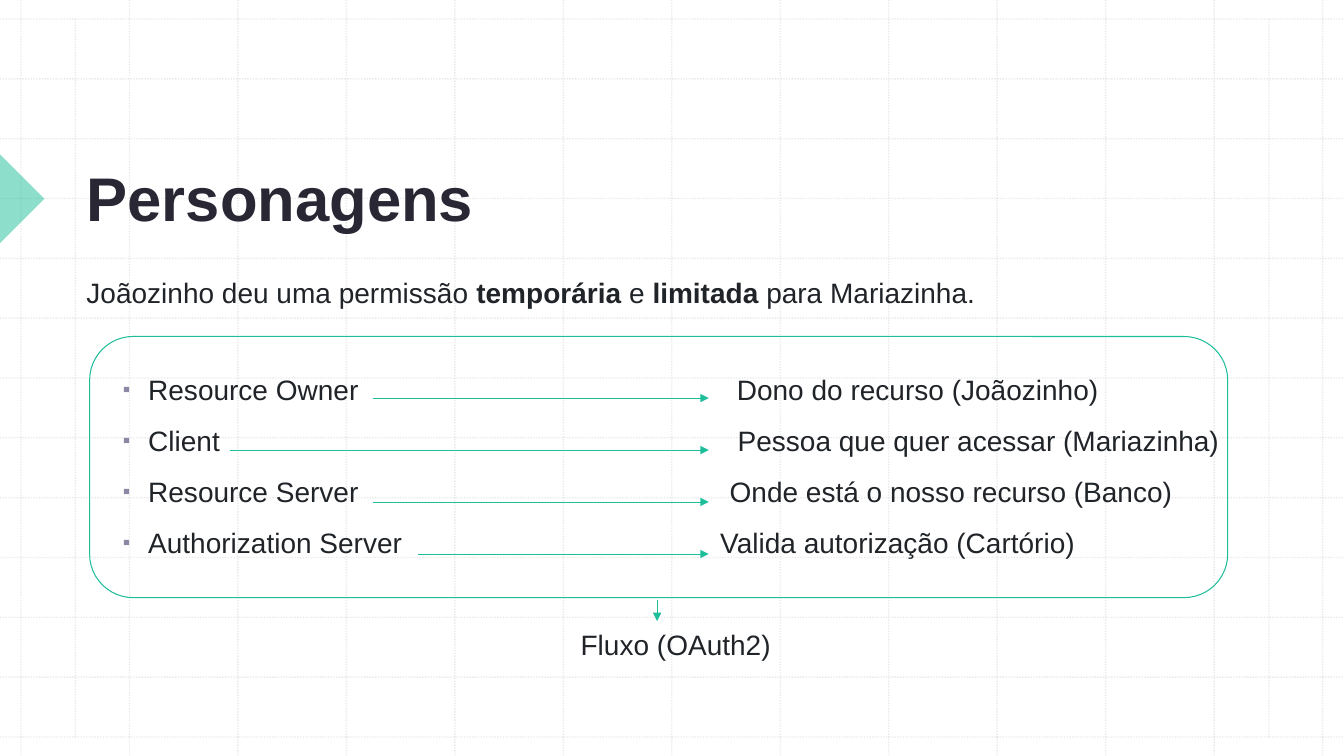
from dataclasses import dataclass

from pptx import Presentation
from pptx.dml.color import RGBColor
from pptx.enum.dml import MSO_LINE
from pptx.enum.shapes import MSO_CONNECTOR, MSO_SHAPE
from pptx.enum.text import MSO_ANCHOR as Anchor, MSO_AUTO_SIZE as AutoSize, PP_ALIGN as Align
from pptx.oxml.ns import qn
from pptx.util import Cm, Pt
from lxml.etree import SubElement

WIDTH, HEIGHT = 33.87, 19.05


@dataclass(frozen=True)
class Theme:
    font: str = "Arial"
    title: str = "2A2735"
    text: str = "202428"
    accent: str = "1EBE9B"
    bullet: str = "8D87A6"
    grid: str = "BCBCBC"
    title_size: int = 44
    text_size: int = 20


class SlideBuilder:
    def __init__(self, page, theme):
        self.page, self.theme = page, theme

    def set_alpha(self, fill_parent, percent):
        color = next(fill_parent.iter(qn("a:srgbClr")))
        SubElement(color, qn("a:alpha")).set("val", str(percent * 1000))

    def line(self, x1, y1, x2, y2, color, width):
        line = self.page.shapes.add_connector(
            MSO_CONNECTOR.STRAIGHT, Cm(x1), Cm(y1), Cm(x2), Cm(y2))
        line.line.color.rgb = RGBColor.from_string(color)
        line.line.width = Pt(width)
        return line

    def no_shadow(self, line):
        SubElement(line._element.spPr, qn("a:effectLst"))

    def grid_line(self, x1, y1, x2, y2):
        line = self.line(x1, y1, x2, y2, self.theme.grid, 1)
        line.line.dash_style = MSO_LINE.ROUND_DOT
        self.set_alpha(line._element.spPr, 30)
        self.no_shadow(line)

    def arrow(self, x1, y1, x2, y2):
        line = self.line(x1, y1, x2, y2, self.theme.accent, 0.5)
        outline = line._element.spPr.find(qn("a:ln"))
        SubElement(outline, qn("a:tailEnd")).set("type", "triangle")
        self.no_shadow(line)

    def shape(self, kind, left, top, width, height):
        shape = self.page.shapes.add_shape(kind, Cm(left), Cm(top), Cm(width), Cm(height))
        shape.shadow.inherit = False
        return shape

    def marker(self, left, top, side):
        shape = self.shape(MSO_SHAPE.RIGHT_TRIANGLE, left, top, side, side)
        shape.rotation = 225
        shape.fill.solid()
        shape.fill.fore_color.rgb = RGBColor.from_string(self.theme.accent)
        self.set_alpha(shape._element.spPr, 50)
        shape.line.fill.background()

    def frame(self, left, top, width, height):
        shape = self.shape(MSO_SHAPE.FLOWCHART_ALTERNATE_PROCESS, left, top, width, height)
        shape.fill.background()
        shape.line.color.rgb = RGBColor.from_string(self.theme.accent)
        shape.line.width = Pt(0.75)

    def place(self, holder, left, top, width, height):
        """Position a placeholder and bring it to the front."""
        holder.left, holder.top, holder.width, holder.height = map(Cm, (left, top, width, height))
        holder._element.getparent().append(holder._element)
        holder.text_frame.auto_size = AutoSize.NONE
        return holder.text_frame

    def style_font(self, font, size, color, bold=False):
        font.name, font.size, font.bold = self.theme.font, Pt(size), bold
        font.color.rgb = RGBColor.from_string(color)

    def title(self, text, *area):
        frame = self.place(self.page.shapes.title, *area)
        frame.text, frame.vertical_anchor = text, Anchor.BOTTOM
        para = frame.paragraphs[0]
        para.alignment = Align.LEFT
        self.style_font(para.font, self.theme.title_size, self.theme.title, True)

    def fill_text(self, frame, paragraphs, align=Align.LEFT, bullets=False, indents=None):
        """Each paragraph is a list of (text, bold) spans."""
        frame.word_wrap, frame.vertical_anchor = True, Anchor.TOP
        for index, spans in enumerate(paragraphs):
            para = frame.add_paragraph() if index else frame.paragraphs[0]
            para.alignment, para.line_spacing, para.space_before = align, 1.1, Pt(10)
            for text, bold in spans:
                span = para.add_run()
                span.text = text
                if bold:
                    span.font.bold = True
            props = para._p.get_or_add_pPr()
            if bullets:
                self.bullet(props)
            elif indents:
                props.set("marL", str(Cm(indents[index])))
            self.style_font(para.font, self.theme.text_size, self.theme.text)

    def bullet(self, props):
        props.set("marL", str(Cm(0.64)))
        props.set("indent", str(-Cm(0.64)))
        color = SubElement(props, qn("a:buClr"))
        SubElement(color, qn("a:srgbClr")).set("val", self.theme.bullet)
        SubElement(props, qn("a:buSzPct")).set("val", "75000")
        SubElement(props, qn("a:buFont")).set("typeface", self.theme.font)
        SubElement(props, qn("a:buChar")).set("char", "▪")

    def bullet_list(self, items, *area):
        frame = self.place(self.page.placeholders[1], *area)
        self.fill_text(frame, [[(item, False)] for item in items], bullets=True)

    def text(self, paragraphs, left, top, width, height, **options):
        box = self.page.shapes.add_textbox(Cm(left), Cm(top), Cm(width), Cm(height))
        self.fill_text(box.text_frame, paragraphs, **options)


# Role, its meaning, indent of the meaning, start of the arrow
ROLES = [
    ("Resource Owner", "Dono do recurso (Joãozinho)", 0.42, 9.4),
    ("Client", "Pessoa que quer acessar (Mariazinha)", 0.44, 5.79),
    ("Resource Server", "Onde está o nosso recurso (Banco)", 0.24, 9.4),
    ("Authorization Server", "Valida autorização (Cartório)", 0, 10.54),
]


def main():
    deck = Presentation()
    deck.slide_width, deck.slide_height = Cm(WIDTH), Cm(HEIGHT)
    builder = SlideBuilder(deck.slides.add_slide(deck.slide_layouts[1]), Theme())

    # Background grid
    top, bottom, cells = 0.48, 18.57, 12
    for step in range(cells + 1):
        x = 0.53 + step * 32.8 / cells
        y = top + step * (bottom - top) / cells
        builder.grid_line(x, 0, x, HEIGHT)
        builder.grid_line(0, y, WIDTH, y)
    for x in (1.9, 31.98):
        builder.grid_line(x, top, x, bottom)

    # Title and introduction
    builder.marker(-0.79, 4.22, 1.58)
    builder.title("Personagens", 1.93, 2.01, 28.68, 4.01)
    intro = [("Joãozinho deu uma permissão ", False), ("temporária", True), (" e ", False),
             ("limitada", True), (" para Mariazinha.", False)]
    builder.text([intro], 1.93, 6.73, 28.68, 2.26)

    # Roles and their meanings
    roles, meanings, indents, starts = zip(*ROLES)
    builder.bullet_list(roles, 2.84, 9.17, 9, 5.6)
    builder.text([[(meaning, False)] for meaning in meanings],
                 17.9, 9.17, 13.4, 5.6, indents=indents)
    for row, start in enumerate(starts):
        y = 10.03 + row * 1.31
        builder.arrow(start, y, 17.86, y)
    builder.frame(2.26, 8.48, 28.68, 6.58)

    # Resulting flow
    builder.arrow(16.56, 15.11, 16.56, 15.65)
    builder.text([[("Fluxo (OAuth2)", False)]], 14.03, 15.6, 6, 1.2, align=Align.CENTER)

    deck.save("out.pptx")


if __name__ == "__main__":
    main()
